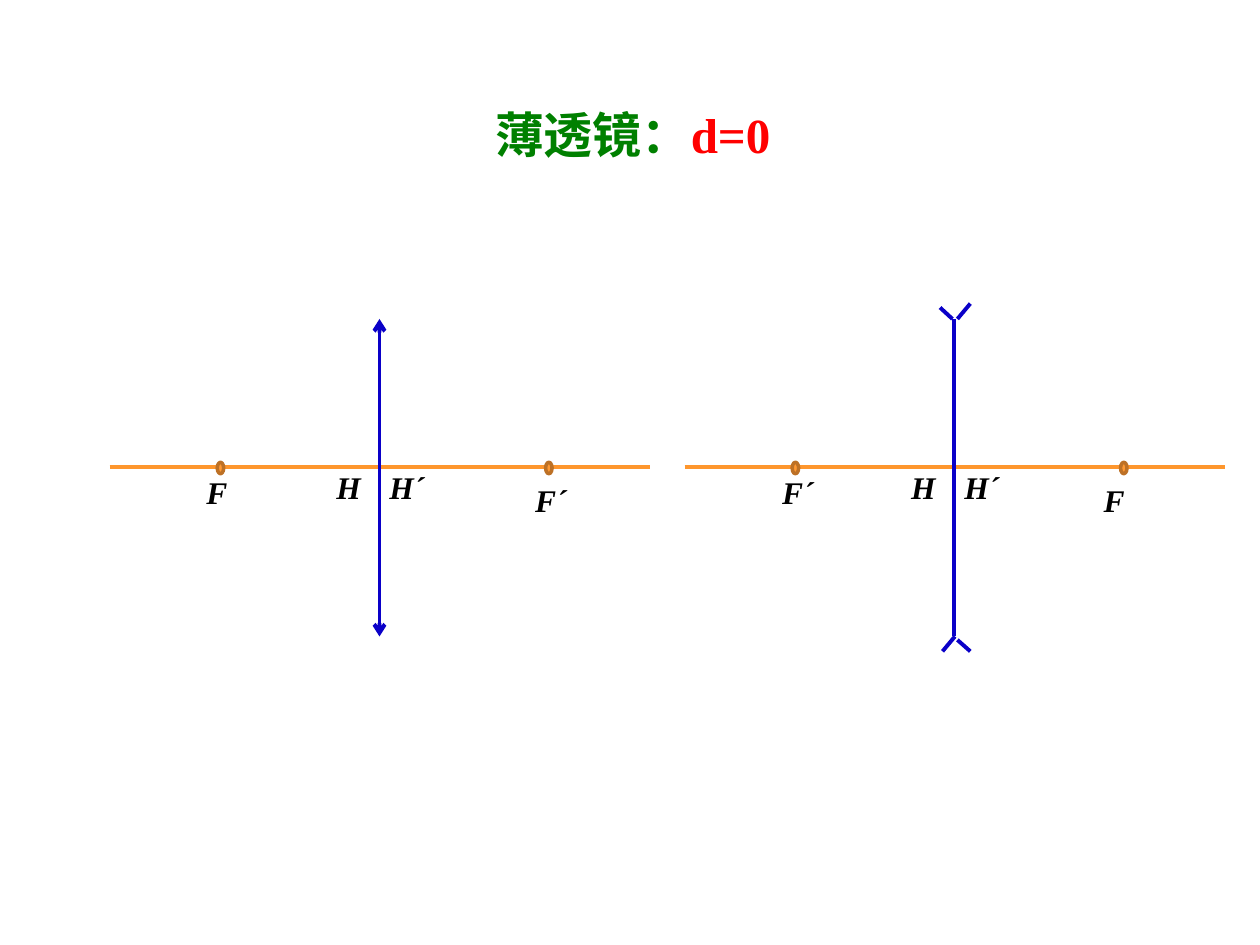
from pptx import Presentation
from pptx.util import Cm, Pt
from pptx.dml.color import RGBColor
from pptx.enum.shapes import MSO_CONNECTOR, MSO_SHAPE
from pptx.enum.text import MSO_ANCHOR, MSO_AUTO_SIZE, PP_ALIGN
from pptx.oxml.ns import qn
from lxml.etree import SubElement

theme = {
    "font": "Times New Roman", "head": Pt(28), "label": Pt(18),
    "green": RGBColor(0, 128, 0), "red": RGBColor(255, 0, 0),
    "black": RGBColor(0, 0, 0), "axis": RGBColor(0xFE, 0x96, 0x2D),
    "lens": RGBColor(0x0A, 0, 0xC8), "dot": RGBColor(0xFF, 0x99, 0x33),
    "rim": RGBColor(0xBD, 0x71, 0x26), "line": Pt(2.25), "ring": Pt(2),
}

deck = Presentation()
deck.slide_width, deck.slide_height = Cm(25.4), Cm(19.05)
slide = deck.slides.add_slide(deck.slide_layouts[5])


def style(run, size, color):
    run.font.name, run.font.size, run.font.bold = theme["font"], size, True
    run.font.color.rgb = color


def draw(x1, y1, x2, y2, color, arrows=False):
    line = slide.shapes.add_connector(
        MSO_CONNECTOR.STRAIGHT, Cm(x1), Cm(y1), Cm(x2), Cm(y2))
    line.line.color.rgb, line.line.width = theme[color], theme["line"]
    props = line._element.spPr
    if arrows:
        for end in ("a:headEnd", "a:tailEnd"):
            SubElement(props.find(qn("a:ln")), qn(end), type="arrow")
    SubElement(props, qn("a:effectLst"))


# Title
title = slide.shapes.title
title.left, title.top, title.width, title.height = Cm(9.68), Cm(1.98), Cm(6.15), Cm(1.45)
frame = title.text_frame
frame.word_wrap = False
frame.auto_size = MSO_AUTO_SIZE.SHAPE_TO_FIT_TEXT
frame.vertical_anchor = MSO_ANCHOR.MIDDLE
para = frame.paragraphs[0]
para.alignment = PP_ALIGN.CENTER
for text, color in (("薄透镜：", "green"), ("d=0", "red")):
    run = para.add_run()
    run.text = text
    style(run, theme["head"], theme[color])

# Two lenses: left edge, arrows, label and place of each focus
mid, top, base = 9.42, 6.43, 12.83
lenses = (
    (2.21, True, ("F", 1.7), ("Fˊ", 8.33)),
    (13.8, False, ("Fˊ", 1.72), ("F", 8.2)),
)
for left, arrows, near, far in lenses:
    # Axis and lens
    draw(left, mid, left + 10.9, mid, "axis")
    draw(left + 5.44, top, left + 5.44, base, "lens", arrows)

    # Labels
    labels = (("H", 4.32, 9.32), ("Hˊ", 5.39, 9.32), (*near, 9.42), (*far, 9.58))
    for text, x, y in labels:
        box = slide.shapes.add_textbox(Cm(left + x), Cm(y), Cm(2.18), Cm(1.02))
        frame = box.text_frame
        frame.word_wrap = True
        frame.text = text
        run = frame.paragraphs[0].runs[0]
        style(run, theme["label"], theme["black"])
        run.font.italic = True

    # Focus dots
    for x in (2.17, 8.79):
        dot = slide.shapes.add_shape(
            MSO_SHAPE.OVAL, Cm(left + x), Cm(9.32), Cm(0.13), Cm(0.23))
        dot.shadow.inherit = False
        dot.fill.solid()
        dot.fill.fore_color.rgb = theme["dot"]
        dot.line.color.rgb, dot.line.width = theme["rim"], theme["ring"]

# Inward tips of the right lens
tips = (
    (18.95, 6.2, 19.2, 6.43), (19.3, 6.43, 19.56, 6.12),
    (19, 13.13, 19.25, 12.83), (19.3, 12.9, 19.56, 13.13),
)
for tip in tips:
    draw(*tip, "lens")

deck.save("out.pptx")
